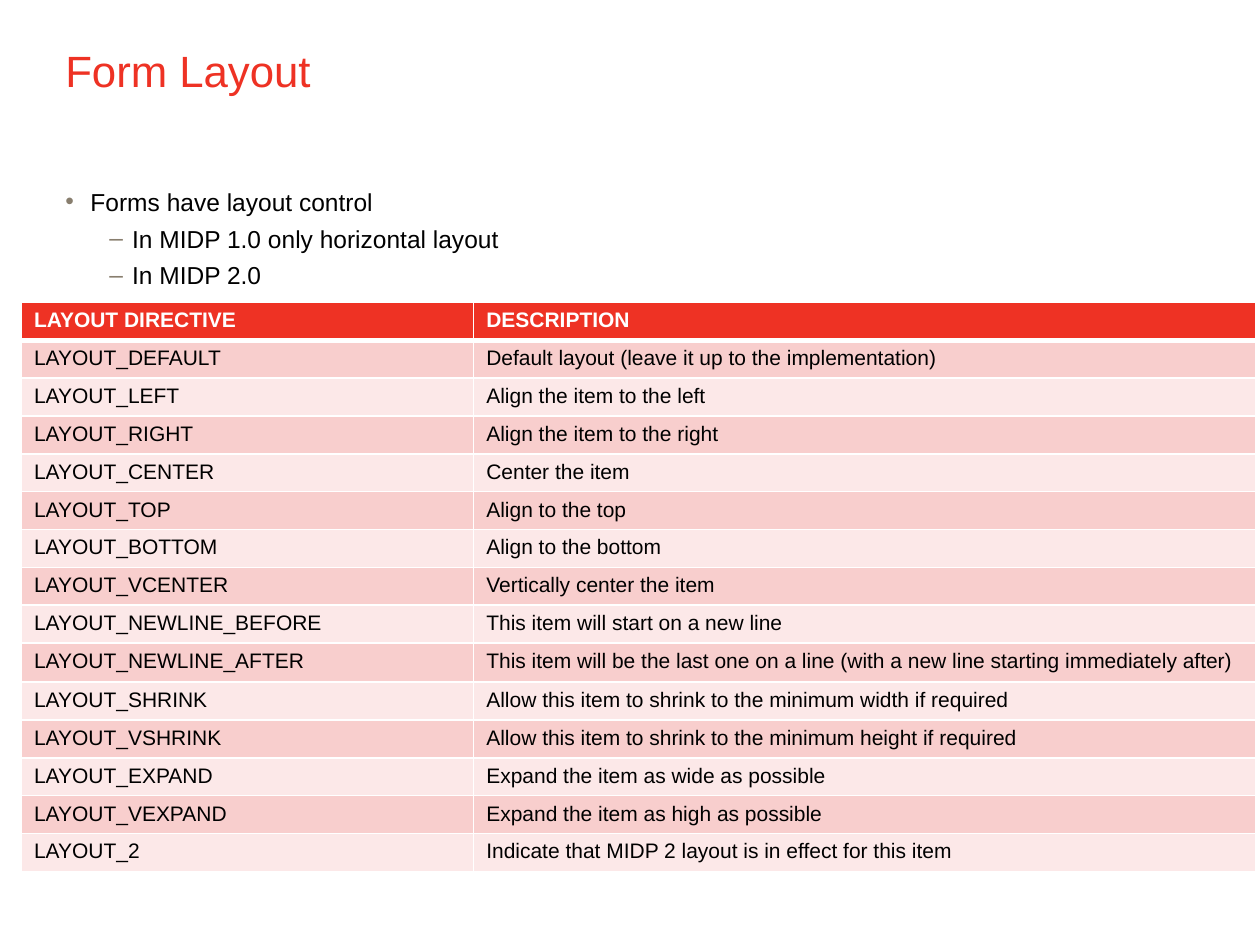
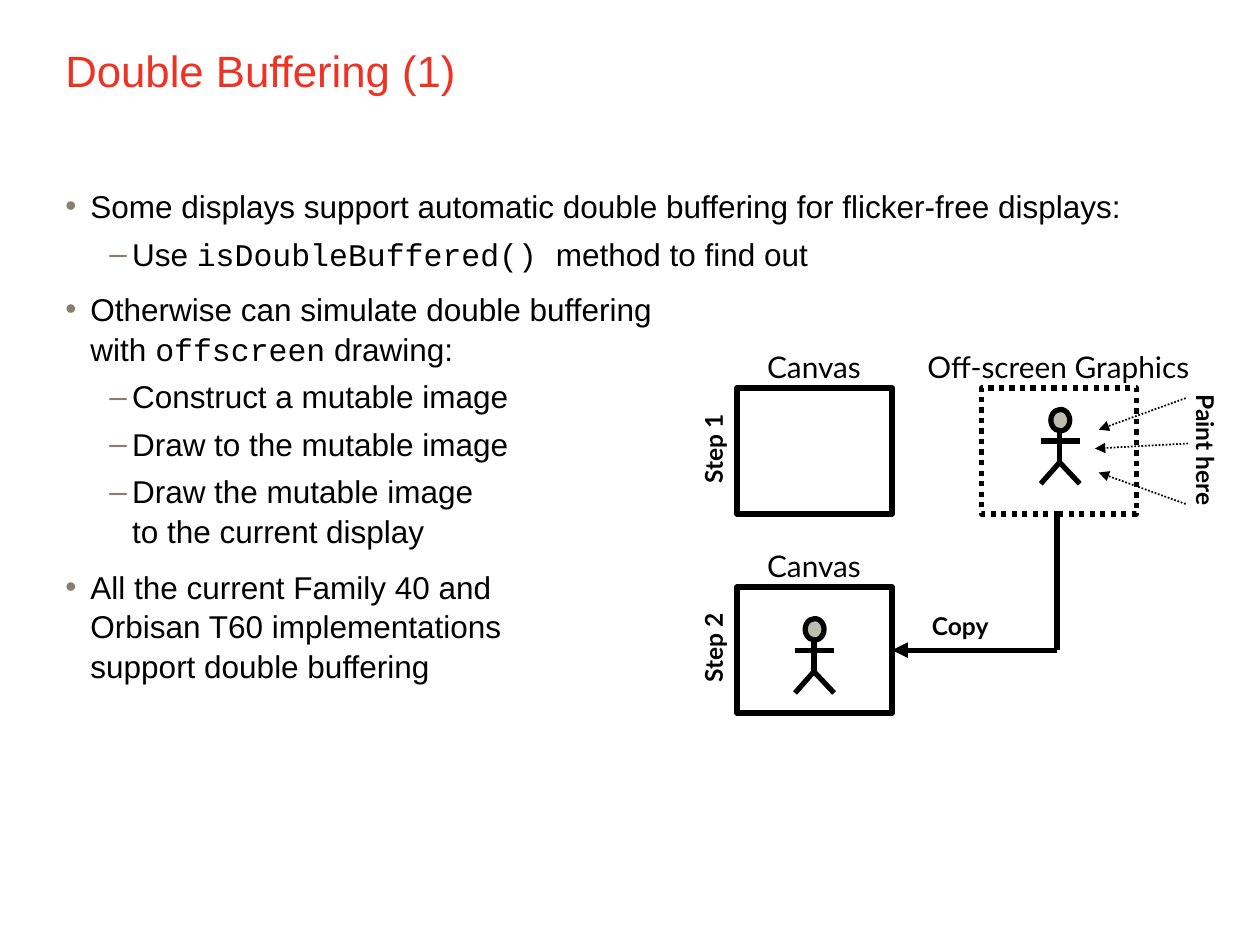
import pptx
import pptx.dml.color
import pptx.enum.dml
import pptx.enum.shapes
import pptx.enum.text
import pptx.oxml
import pptx.oxml.ns
import pptx.util
from pptx.util import Inches

RED = pptx.dml.color.RGBColor(0xEE, 0x32, 0x24)
ROSE = pptx.dml.color.RGBColor(0xF8, 0xCE, 0xCD)
BLUSH = pptx.dml.color.RGBColor(0xFC, 0xE8, 0xE8)
TAUPE = pptx.dml.color.RGBColor(0x88, 0x7E, 0x6E)
STONE = pptx.dml.color.RGBColor(0xBE, 0xBD, 0xB0)
BLACK = pptx.dml.color.RGBColor(0, 0, 0)
WHITE = pptx.dml.color.RGBColor(255, 255, 255)

KIND = pptx.enum.shapes.MSO_SHAPE
DOTS = pptx.enum.dml.MSO_LINE.ROUND_DOT
LEVELS = [("•", 0.2, -0.2, 0.5), ("–", 0.53, -0.18, 0.25)]


def add_xml(node, body):
    tag, rest = body.split(" ", 1)
    space = pptx.oxml.ns.nsdecls("a")
    node.append(pptx.oxml.parse_xml(f"<a:{tag} {space} {rest}"))


def write(par, text, size=14, color=BLACK, font="Arial", bold=False):
    for spot, line in enumerate(text.split("\n")):
        if spot:
            par.add_line_break()
        run = par.add_run()
        run.text = line
        run.font.size = pptx.util.Pt(size)
        run.font.name = font
        run.font.bold = bold
        run.font.color.rgb = color


class Deck:
    def __init__(self):
        self.show = pptx.Presentation()
        self.show.slide_width = Inches(10)
        self.show.slide_height = Inches(7.5)
        self.slide = None

    def start(self, title):
        self.slide = self.show.slides.add_slide(self.show.slide_layouts[6])
        frame = self.frame(0.42, 0.3, 9, 1.01).text_frame
        write(frame.paragraphs[0], title, size=25, color=RED)

    def frame(self, x, y, w, h):
        box = self.slide.shapes.add_textbox(Inches(x), Inches(y), Inches(w), Inches(h))
        box.text_frame.word_wrap = True
        return box

    def points(self, items, size):
        frame = self.frame(0.42, 1.42, 9, 5.32).text_frame
        for spot, (level, text) in enumerate(items):
            par = frame.add_paragraph() if spot else frame.paragraphs[0]
            sign, left, hang, gap = LEVELS[level]
            par.level = level
            par.line_spacing = 1.05
            par.space_before = pptx.util.Pt(size * gap)
            props = par._p.get_or_add_pPr()
            props.set("marL", str(Inches(left)))
            props.set("indent", str(Inches(hang)))
            add_xml(props, f'buClr ><a:srgbClr val="{TAUPE}"/></a:buClr>')
            add_xml(props, 'buFont typeface="Arial"/>')
            add_xml(props, f'buChar char="{sign}"/>')
            for turn, part in enumerate(text.split("`")):
                if part:
                    write(par, part, size=size, font="Courier New" if turn % 2 else "Arial")

    def label(self, text, x, y, w, size=14, turn=0):
        h = 0.36 if size == 17 else 0.32
        box = self.frame(x - w / 2, y - h / 2, w, h)
        box.rotation = turn
        frame = box.text_frame
        frame.word_wrap = False
        frame.auto_size = pptx.enum.text.MSO_AUTO_SIZE.SHAPE_TO_FIT_TEXT
        par = frame.paragraphs[0]
        par.alignment = pptx.enum.text.PP_ALIGN.CENTER
        par.line_spacing = 0.9
        write(par, text, size=size, font="Lato", bold=size == 14)

    def shape(self, kind, x, y, w, h, fill=None, dash=None):
        item = self.slide.shapes.add_shape(kind, Inches(x), Inches(y), Inches(w), Inches(h))
        item.shadow.inherit = False
        if fill is None:
            item.fill.background()
        else:
            item.fill.solid()
            item.fill.fore_color.rgb = fill
        self.stroke(item, 3, dash)

    def stroke(self, item, width, dash):
        item.line.color.rgb = BLACK
        item.line.width = pptx.util.Pt(width)
        if dash:
            item.line.dash_style = dash

    def line(self, x1, y1, x2, y2, width=3, dash=None, arrow=False):
        item = self.slide.shapes.add_connector(
            pptx.enum.shapes.MSO_CONNECTOR.STRAIGHT,
            Inches(x1), Inches(y1), Inches(x2), Inches(y2))
        self.stroke(item, width, dash)
        if arrow:
            add_xml(item.line._get_or_add_ln(), 'tailEnd type="triangle"/>')
        add_xml(item._element.spPr, "effectLst />")

    def person(self, x, y):
        self.shape(KIND.OVAL, x - 0.07, y, 0.15, 0.17, STONE)
        self.line(x, y + 0.17, x, y + 0.42)
        for side in (0.16, -0.15):
            self.line(x, y + 0.42, x + side, y + 0.59)
        self.line(x - 0.15, y + 0.25, x + 0.16, y + 0.25)

    def panel(self, name, x, y, wide, fill=None, dash=None):
        self.shape(KIND.RECTANGLE, x, y, 1.23, 1, fill, dash)
        self.label(name, x + 0.61, y - 0.15, wide, size=17)

    def table(self, rows, x, y, cols, tall):
        item = self.slide.shapes.add_table(
            len(rows), len(cols), Inches(x), Inches(y), Inches(sum(cols)), Inches(4.51))
        grid = item.table
        for col, wide in zip(grid.columns, cols):
            col.width = Inches(wide)
        for r, row in enumerate(rows):
            grid.rows[r].height = Inches(0.31 if r == tall else 0.25)
            for c, text in enumerate(row):
                self.cell(grid.cell(r, c), text, r)
        item.height = Inches(4.51)

    def cell(self, cell, text, r):
        props = cell._tc.get_or_add_tcPr()
        for side in "LRTB":
            thick = (r, side) in ((0, "B"), (1, "T"))
            add_xml(props, f'ln{side} w="{pptx.util.Pt(3 if thick else 1)}"><a:solidFill>'
                           f'<a:srgbClr val="{WHITE}"/></a:solidFill></a:ln{side}>')
        cell.fill.solid()
        cell.fill.fore_color.rgb = RED if r == 0 else ROSE if r % 2 else BLUSH
        write(cell.text_frame.paragraphs[0], text, size=12,
              color=BLACK if r else WHITE, bold=r == 0)


def form_slide(deck):
    deck.start("Form Layout")
    deck.points([
        (0, "Forms have layout control"),
        (1, "In MIDP 1.0 only horizontal layout"),
        (1, "In MIDP 2.0"),
    ], 14)
    rules = [
        ("DEFAULT", "Default layout (leave it up to the implementation)"),
        ("LEFT", "Align the item to the left"),
        ("RIGHT", "Align the item to the right"),
        ("CENTER", "Center the item"),
        ("TOP", "Align to the top"),
        ("BOTTOM", "Align to the bottom"),
        ("VCENTER", "Vertically center the item"),
        ("NEWLINE_BEFORE", "This item will start on a new line"),
        ("NEWLINE_AFTER", "This item will be the last one on a line "
                          "(with a new line starting immediately after)"),
        ("SHRINK", "Allow this item to shrink to the minimum width if required"),
        ("VSHRINK", "Allow this item to shrink to the minimum height if required"),
        ("EXPAND", "Expand the item as wide as possible"),
        ("VEXPAND", "Expand the item as high as possible"),
        ("2", "Indicate that MIDP 2 layout is in effect for this item"),
    ]
    rows = [("LAYOUT DIRECTIVE", "DESCRIPTION")]
    rows += [("LAYOUT_" + name, text) for name, text in rules]
    deck.table(rows, 0.17, 2.4, (3.59, 6.21), tall=9)


def buffer_slide(deck):
    deck.start("Double Buffering (1)")
    deck.points([
        (0, "Some displays support automatic double buffering for flicker-free displays:"),
        (1, "Use `isDoubleBuffered() `method to find out"),
        (0, "Otherwise can simulate double buffering \nwith `offscreen` drawing:"),
        (1, "Construct a mutable image"),
        (1, "Draw to the mutable image"),
        (1, "Draw the mutable image \nto the current display"),
        (0, "All the current Family 40 and \nOrbisan T60 implementations \n"
            "support double buffering"),
    ], 18)
    for step, (y, fill) in enumerate([(3.08, WHITE), (4.66, None)], 1):
        deck.panel("Canvas", 5.85, y, 1.01, fill)
        deck.label(f"Step {step}", 5.68, y + 0.48, 0.79, turn=270)
    deck.person(6.46, 4.91)
    deck.panel("Off-screen Graphics", 7.79, 3.08, 2.33, dash=DOTS)
    for ray in [(9.41, 3.16, 8.72, 3.41), (9.43, 3.52, 8.69, 3.56), (9.41, 4, 8.72, 3.75)]:
        deck.line(*ray, width=1, dash=DOTS, arrow=True)
    deck.person(8.41, 3.25)
    deck.label("Paint here", 9.55, 3.57, 1.16, turn=90)
    deck.line(8.39, 4.08, 8.39, 5.16)
    deck.line(8.39, 5.16, 7.08, 5.16, arrow=True)
    deck.label("Copy", 7.62, 4.99, 0.69)


def main():
    deck = Deck()
    form_slide(deck)
    buffer_slide(deck)
    deck.show.save("out.pptx")


if __name__ == "__main__":
    main()
